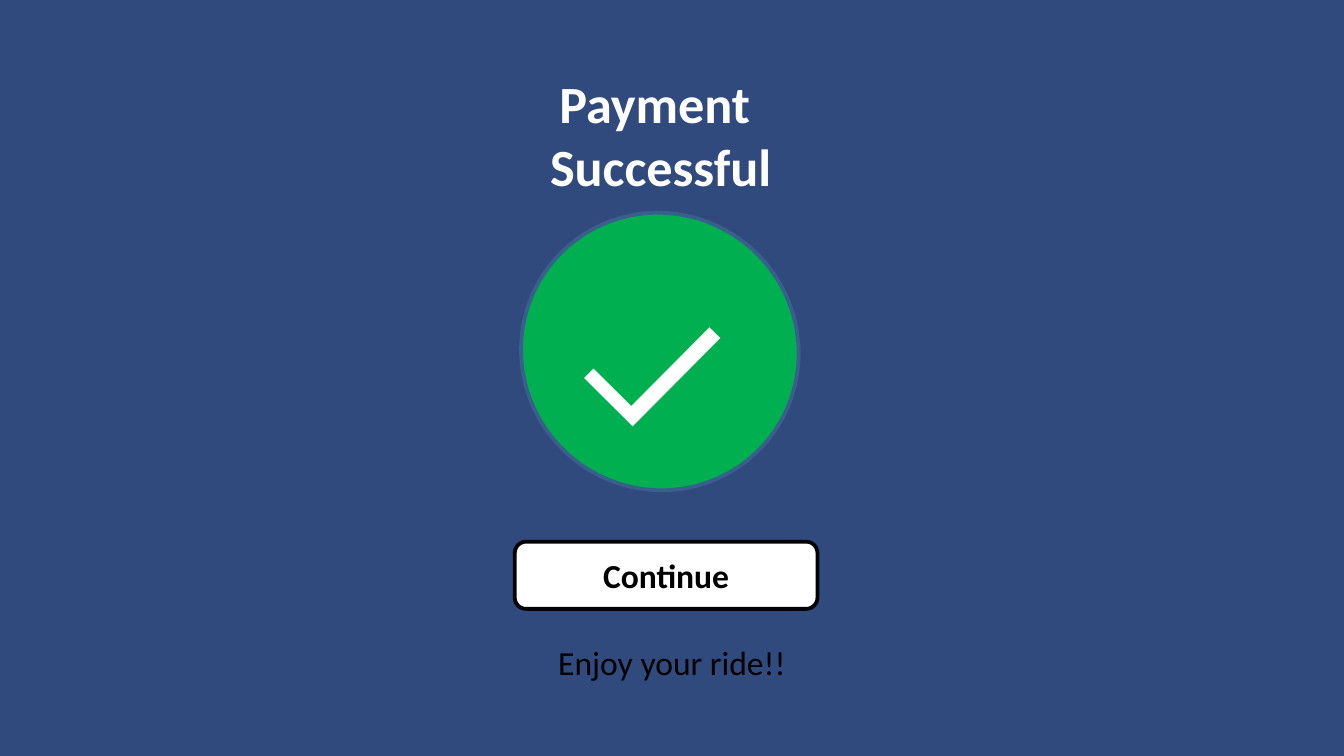
"""Build the payment confirmation slide."""
from pptx import Presentation
from pptx.dml.color import RGBColor
from pptx.enum.shapes import MSO_SHAPE
from pptx.enum.text import MSO_ANCHOR, MSO_AUTO_SIZE, PP_ALIGN
from pptx.util import Cm, Pt

COLORS = {
    "background": "304A7E",
    "white": "FFFFFF",
    "black": "000000",
    "success": "00B050",
    "outline": "3A5F8C",
}
FONT = "Calibri"
SLIDE_SIZE = (25.4, 14.29)

HEADING = {"text": "Payment \nSuccessful", "box": (1.27, 1.22, 22.43, 2.64),
           "size": 28, "color": "white", "bold": True}
CHECK = {"text": "˩", "box": (9.83, 4.04, 5.28, 5.21),
         "size": 96, "color": "white", "bold": False,
         "shape": MSO_SHAPE.OVAL, "fill": "success", "line": "outline", "rotation": 44.8}
FAREWELL = {"text": "Enjoy your ride!!", "box": (0, 12.01, 25.4, 1.07),
            "size": 18, "color": "black", "bold": False}
BUTTON = {"text": "Continue", "box": (9.73, 10.24, 5.72, 1.27),
          "size": 18, "color": "black", "bold": True,
          "shape": MSO_SHAPE.ROUNDED_RECTANGLE, "fill": "white", "line": "black", "rotation": 0}


def color(name):
    return RGBColor.from_string(COLORS[name])


def write(holder, content, anchor):
    frame = holder.text_frame
    frame.text = content["text"]
    frame.word_wrap = True
    frame.auto_size = MSO_AUTO_SIZE.NONE
    frame.vertical_anchor = anchor
    for paragraph in frame.paragraphs:
        paragraph.alignment = PP_ALIGN.CENTER
        for run in paragraph.runs:
            run.font.name = FONT
            run.font.size = Pt(content["size"])
            run.font.bold = content["bold"]
            run.font.color.rgb = color(content["color"])


def add_figure(slide, content):
    figure = slide.shapes.add_shape(content["shape"], *map(Cm, content["box"]))
    figure.shadow.inherit = False
    figure.rotation = content["rotation"]
    figure.fill.solid()
    figure.fill.fore_color.rgb = color(content["fill"])
    figure.line.color.rgb = color(content["line"])
    figure.line.width = Pt(2)
    write(figure, content, MSO_ANCHOR.MIDDLE)


def main():
    deck = Presentation()
    deck.slide_width, deck.slide_height = map(Cm, SLIDE_SIZE)
    slide = deck.slides.add_slide(deck.slide_layouts[5])
    slide.background.fill.solid()
    slide.background.fill.fore_color.rgb = color("background")

    heading = slide.shapes.title
    heading.left, heading.top, heading.width, heading.height = map(Cm, HEADING["box"])
    write(heading, HEADING, MSO_ANCHOR.TOP)

    add_figure(slide, CHECK)
    farewell = slide.shapes.add_textbox(*map(Cm, FAREWELL["box"]))
    write(farewell, FAREWELL, MSO_ANCHOR.TOP)
    add_figure(slide, BUTTON)

    deck.save("out.pptx")


if __name__ == "__main__":
    main()
